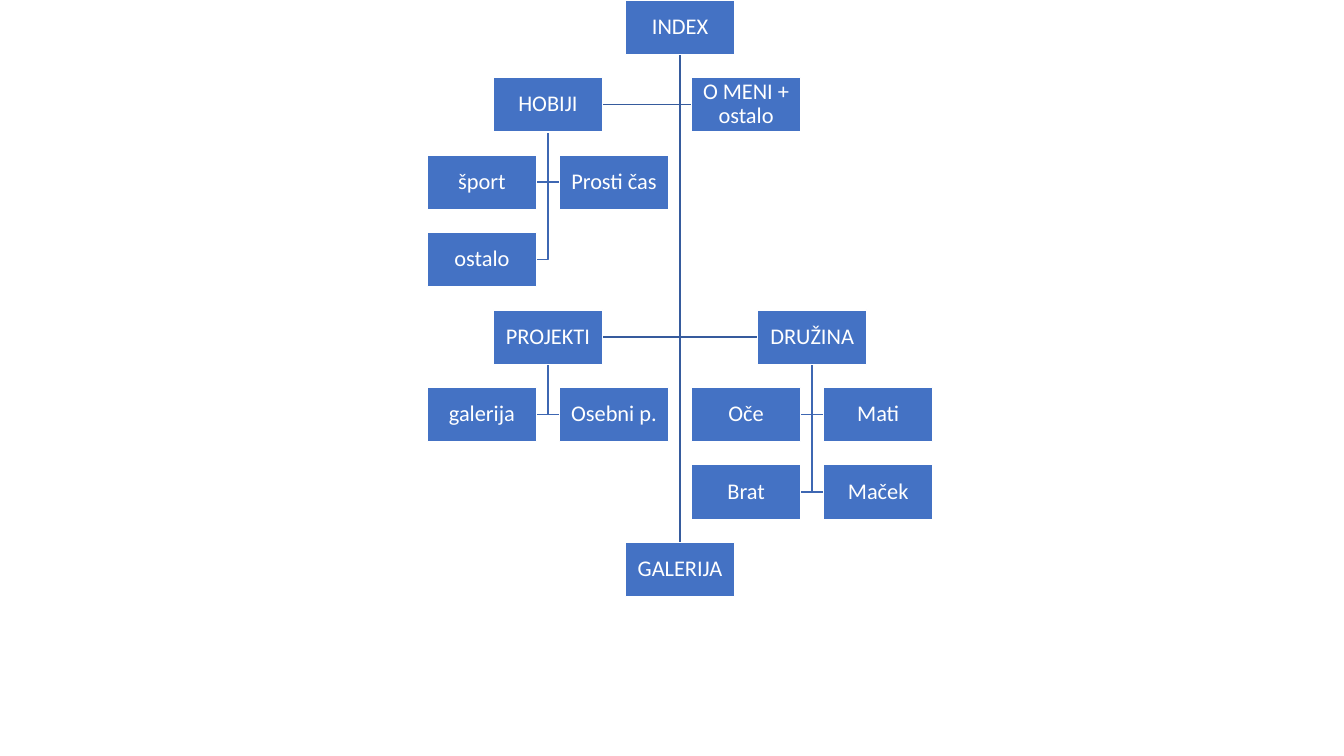
from lxml import etree
from pptx import Presentation
from pptx.dml.color import RGBColor
from pptx.enum.shapes import MSO_CONNECTOR, MSO_SHAPE
from pptx.enum.text import MSO_ANCHOR, PP_ALIGN
from pptx.oxml.ns import qn
from pptx.util import Inches, Pt

STRAIGHT = MSO_CONNECTOR.STRAIGHT
RECTANGLE = MSO_SHAPE.RECTANGLE
MIDDLE = MSO_ANCHOR.MIDDLE
CENTER = PP_ALIGN.CENTER

BOX_WIDTH, BOX_HEIGHT = 1.08, 0.54
GRID_LEFT = 4.24
COLUMN_STEP = (8.17 - GRID_LEFT) / 6
ROW_STEP = 5.38 / 7
BOX_COLOR, TEXT_COLOR = "4472C4", "FFFFFF"
TRUNK_COLOR, BRANCH_COLOR = "365B9D", "3E67B2"

PAGES = {
    "INDEX": (3, 0),
    "GALERIJA": (3, 7),
    "HOBIJI": (1, 1),
    "šport": (0, 2),
    "Prosti čas": (2, 2),
    "ostalo": (0, 3),
    "O MENI + ostalo": (4, 1),
    "PROJEKTI": (1, 4),
    "galerija": (0, 5),
    "Osebni p.": (2, 5),
    "DRUŽINA": (5, 4),
    "Oče": (4, 5),
    "Mati": (6, 5),
    "Brat": (4, 6),
    "Maček": (6, 6),
}

SUBPAGES = {
    "DRUŽINA": ["Maček", "Brat", "Mati", "Oče"],
    "PROJEKTI": ["Osebni p.", "galerija"],
    "HOBIJI": ["ostalo", "Prosti čas", "šport"],
    "INDEX": ["DRUŽINA", "PROJEKTI", "O MENI + ostalo", "HOBIJI"],
}


def rgb(value):
    return RGBColor.from_string(value)


def corner(page):
    column, row = PAGES[page]
    return GRID_LEFT + column * COLUMN_STEP, row * ROW_STEP


def style_line(line, color):
    line.color.rgb = rgb(color)
    line.width = Pt(1)


def add_trunk(slide, parent, child):
    left, top = corner(parent)
    middle = Inches(left + BOX_WIDTH / 2)
    trunk = slide.shapes.add_connector(
        STRAIGHT, middle, Inches(top + BOX_HEIGHT), middle, Inches(corner(child)[1])
    )
    style_line(trunk.line, TRUNK_COLOR)
    etree.SubElement(trunk._element.spPr, qn("a:effectLst"))
    return trunk


def add_branch(slide, parent, child, color):
    parent_left, parent_top = corner(parent)
    child_left, child_top = corner(child)
    stem = Inches(parent_left + BOX_WIDTH / 2)
    level = Inches(child_top + BOX_HEIGHT / 2)
    near_side = child_left if child_left > parent_left else child_left + BOX_WIDTH
    builder = slide.shapes.build_freeform(stem, Inches(parent_top + BOX_HEIGHT))
    builder.add_line_segments([(stem, level), (Inches(near_side), level)], close=False)
    branch = builder.convert_to_shape()
    branch.shadow.inherit = False
    branch.fill.background()
    style_line(branch.line, color)


def add_page(slide, page):
    left, top = corner(page)
    box = slide.shapes.add_shape(
        RECTANGLE, Inches(left), Inches(top), Inches(BOX_WIDTH), Inches(BOX_HEIGHT)
    )
    box.shadow.inherit = False
    box.fill.solid()
    box.fill.fore_color.rgb = rgb(BOX_COLOR)
    style_line(box.line, TEXT_COLOR)
    frame = box.text_frame
    frame.word_wrap = True
    frame.vertical_anchor = MIDDLE
    frame.margin_left = frame.margin_right = Inches(0.01)
    frame.margin_top = frame.margin_bottom = Inches(0.01)
    paragraph = frame.paragraphs[0]
    paragraph.alignment = CENTER
    paragraph.line_spacing = 0.9
    run = paragraph.add_run()
    run.text = page
    run.font.name = "Calibri"
    run.font.size = Pt(16)
    run.font.color.rgb = rgb(TEXT_COLOR)
    return box


def main():
    deck = Presentation()
    deck.slide_width, deck.slide_height = Inches(13.33), Inches(7.5)
    slide = deck.slides.add_slide(deck.slide_layouts[6])
    for parent, children in SUBPAGES.items():
        color = TRUNK_COLOR if parent == "INDEX" else BRANCH_COLOR
        for child in children:
            add_branch(slide, parent, child, color)
    trunk = add_trunk(slide, "INDEX", "GALERIJA")
    boxes = {page: add_page(slide, page) for page in PAGES}
    trunk.begin_connect(boxes["INDEX"], 2)
    trunk.end_connect(boxes["GALERIJA"], 0)
    deck.save("out.pptx")


if __name__ == "__main__":
    main()
